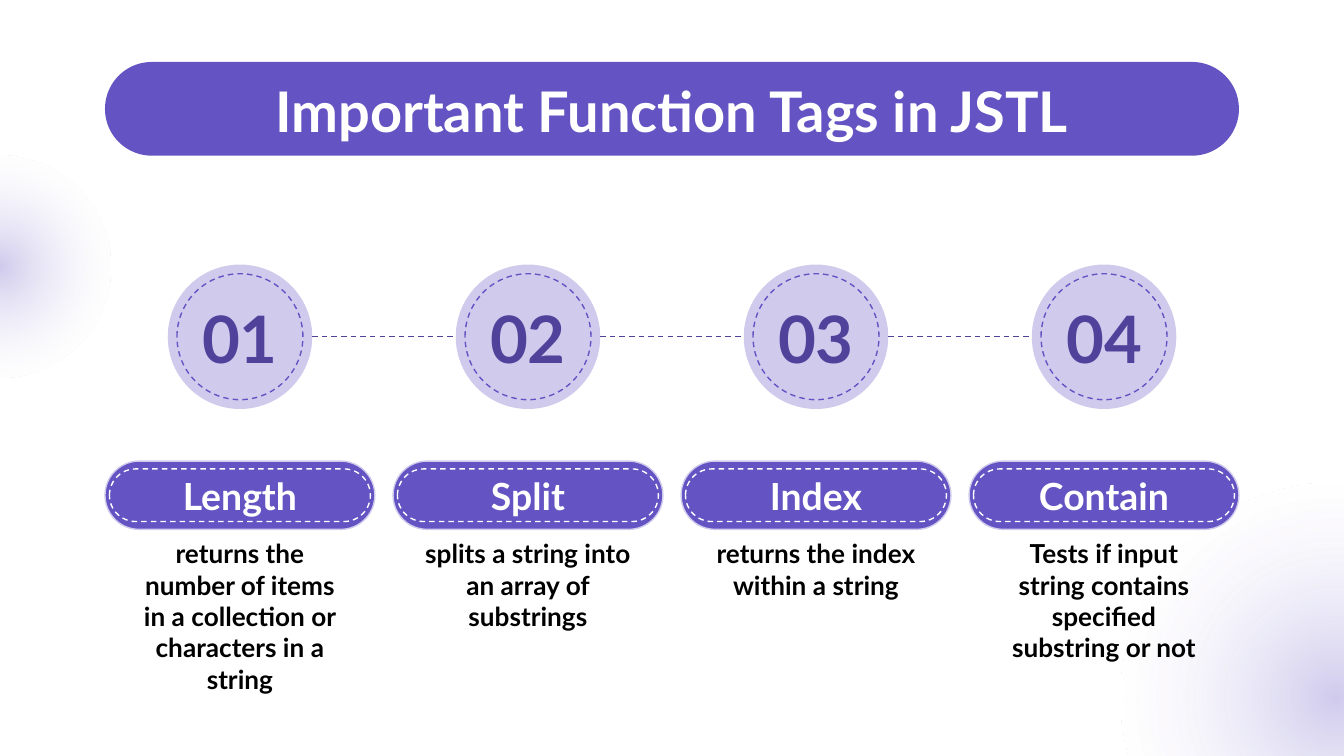
from pptx import Presentation
from pptx.dml.color import RGBColor
from pptx.enum.dml import MSO_LINE
from pptx.enum.shapes import MSO_CONNECTOR, MSO_SHAPE
from pptx.enum.text import MSO_ANCHOR, MSO_AUTO_SIZE, PP_ALIGN
from pptx.oxml import parse_xml
from pptx.oxml.ns import nsdecls, qn
from pptx.util import Pt

ROUND, OVAL = MSO_SHAPE.ROUNDED_RECTANGLE, MSO_SHAPE.OVAL
TOP, MIDDLE = MSO_ANCHOR.TOP, MSO_ANCHOR.MIDDLE
DASH, STRAIGHT = MSO_LINE.DASH, MSO_CONNECTOR.STRAIGHT

TITLE = "Important Function Tags in JSTL"
FUNCTIONS = [
    ("Length", "returns the number of items in a collection or characters in a string"),
    ("Split", "splits a string into an array of substrings"),
    ("Index", "returns the index within a string"),
    ("Contain", "Tests if input string contains specified substring or not"),
]

THEME = {
    "font": "Lato", "purple": "6453C2", "deep": "50429B", "lilac": "D0CBED",
    "white": "FFFFFF", "black": "000000",
    "title": 30, "number": 35, "label": 20, "body": 14, "line": 0.75,
}

# Lengths in points
WIDTH, HEIGHT = 720, 405
MARGIN = 56.25
CONTENT_W = WIDTH - 2 * MARGIN
PILL_W, PILL_H, PILL_Y = 144.6, 36.6, 265.3
PITCH = (CONTENT_W - PILL_W) / (len(FUNCTIONS) - 1)
CIRCLE, RING, CIRCLE_Y = 77.4, 67.5, 180.4
TEXT_W = 130.5
BLOBS = [(715.2, 373.2, 229.7), (0, 142.8, 118.8)]  # centre x, centre y, diameter


def color(name):
    return RGBColor.from_string(THEME[name])


def box(cx, cy, w, h):
    """Left, top, width and height of a box centred on (cx, cy)."""
    return Pt(cx - w / 2), Pt(cy - h / 2), Pt(w), Pt(h)


def set_line(line, name, dashed=False):
    line.color.rgb = color(name)
    line.width = Pt(THEME["line"])
    if dashed:
        line.dash_style = DASH


def add_shape(s, kind, place, fill=None, line=None, dashed=False):
    sp = s.shapes.add_shape(kind, *place)
    sp.shadow.inherit = False
    if kind == ROUND:
        sp.adjustments[0] = 0.5
    if fill:
        sp.fill.solid()
        sp.fill.fore_color.rgb = color(fill)
    else:
        sp.fill.background()
    if line:
        set_line(sp.line, line, dashed)
    else:
        sp.line.fill.background()
    return sp


def add_blob(s, cx, cy, size):
    """Circle that fades radially from lilac to white."""
    sp = add_shape(s, OVAL, box(cx, cy, size, size))
    pr = sp._element.spPr
    lilac, white = THEME["lilac"], THEME["white"]
    pr.replace(pr.find(qn("a:noFill")), parse_xml(
        f'<a:gradFill {nsdecls("a")}><a:gsLst>'
        f'<a:gs pos="0"><a:srgbClr val="{lilac}"/></a:gs>'
        f'<a:gs pos="72000"><a:srgbClr val="{white}"><a:alpha val="27000"/></a:srgbClr></a:gs>'
        f'<a:gs pos="100000"><a:srgbClr val="{white}"/></a:gs></a:gsLst>'
        '<a:path path="circle"><a:fillToRect l="50000" t="50000" r="50000" b="50000"/>'
        '</a:path></a:gradFill>'))


def set_text(sp, text, size, ink, anchor):
    tf = sp.text_frame
    frame = dict.fromkeys(
        ("margin_left", "margin_top", "margin_right", "margin_bottom"), Pt(7.2))
    frame.update(word_wrap=True, auto_size=MSO_AUTO_SIZE.NONE, vertical_anchor=anchor)
    for key, value in frame.items():
        setattr(tf, key, value)
    p = tf.paragraphs[0]
    p.alignment = PP_ALIGN.CENTER
    r = p.add_run()
    r.text = text
    r.font.color.rgb = color(ink)
    for key, value in {"name": THEME["font"], "size": Pt(THEME[size]), "bold": True}.items():
        setattr(r.font, key, value)


def add_text(s, place, *style):
    set_text(s.shapes.add_textbox(*place), *style)


def add_link(s, x1, x2):
    link = s.shapes.add_connector(STRAIGHT, Pt(x1), Pt(CIRCLE_Y), Pt(x2), Pt(CIRCLE_Y))
    set_line(link.line, "deep", dashed=True)
    link._element.spPr.append(parse_xml(f'<a:effectLst {nsdecls("a")}/>'))


def add_title(s):
    add_shape(s, ROUND, (Pt(MARGIN), Pt(33.2), Pt(CONTENT_W), Pt(50.2)), "purple")
    title = s.shapes.title
    title.left, title.top, title.width, title.height = (
        Pt(MARGIN), Pt(33.9), Pt(CONTENT_W), Pt(40.5))
    set_text(title, TITLE, "title", "white", TOP)
    s.shapes._spTree.append(title._element)  # bring in front of the banner


def add_function(s, i, label, description):
    cx = MARGIN + PILL_W / 2 + i * PITCH
    pill_cy = PILL_Y
    add_shape(s, ROUND, box(cx, pill_cy, PILL_W, PILL_H), "purple", "lilac")
    add_shape(s, ROUND, box(cx, pill_cy, 139.8, 28.2), None, "white", dashed=True)
    add_text(s, box(cx, pill_cy + 0.3, TEXT_W, 30), label, "label", "white", MIDDLE)
    add_text(s, (Pt(cx - TEXT_W / 2), Pt(280.8), Pt(TEXT_W), Pt(91.5 + 6 * i)),
             description, "body", "black", TOP)
    add_shape(s, OVAL, box(cx, CIRCLE_Y, CIRCLE, CIRCLE), "lilac")
    add_shape(s, OVAL, box(cx, CIRCLE_Y, RING, RING), None, "purple", dashed=True)
    add_text(s, box(cx, CIRCLE_Y + 0.3, 62, 37.4), f"{i + 1:02}", "number", "deep", MIDDLE)
    if i:
        add_link(s, cx - PITCH + CIRCLE / 2, cx - CIRCLE / 2)


def main():
    prs = Presentation()
    prs.slide_width, prs.slide_height = Pt(WIDTH), Pt(HEIGHT)
    s = prs.slides.add_slide(prs.slide_layouts[5])
    for blob in BLOBS:
        add_blob(s, *blob)
    add_title(s)
    for i, (label, description) in enumerate(FUNCTIONS):
        add_function(s, i, label, description)
    prs.save("out.pptx")


if __name__ == "__main__":
    main()
